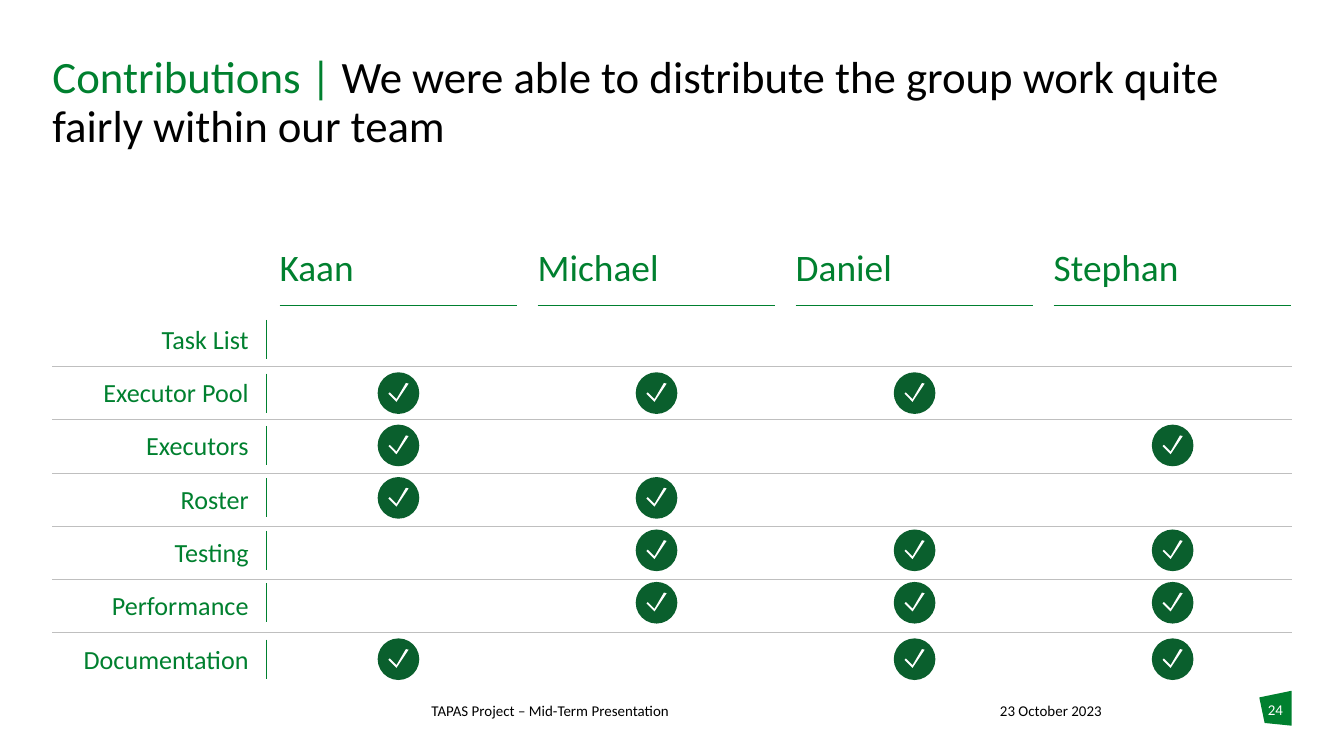
import pptx
import pptx.util
import pptx.dml.color
import pptx.enum.shapes
import pptx.enum.text
import pptx.oxml.ns
import lxml.etree

PX = 4572  # EMU in one px, 200 px to the inch
HUES = {"green": "00802F", "dark": "0A5F2D", "grey": "BFBFBF",
        "black": "000000", "white": "FFFFFF"}
ALIGN = pptx.enum.text.PP_ALIGN
MID = pptx.enum.text.MSO_ANCHOR.MIDDLE
TOP = pptx.enum.text.MSO_ANCHOR.TOP


def add_text(box, runs, size, align=ALIGN.LEFT, anchor=TOP, pad=(0, 0)):
    """Place runs of (text, colour) in a box; pad is the side and top inset."""
    frame = slide.shapes.add_textbox(*[v * PX for v in box]).text_frame
    frame.word_wrap = True
    frame.vertical_anchor = anchor
    frame.margin_left = frame.margin_right = pad[0] * PX
    frame.margin_top = frame.margin_bottom = pad[1] * PX
    para = frame.paragraphs[0]
    para.alignment = align
    for text, hue in runs:
        run = para.add_run()
        run.text = text
        run.font.name = "Calibri"
        run.font.size = pptx.util.Pt(size)
        run.font.color.rgb = pptx.dml.color.RGBColor.from_string(HUES[hue])
    return para


def paint(shape, hue):
    shape.shadow.inherit = False
    shape.fill.solid()
    shape.fill.fore_color.rgb = pptx.dml.color.RGBColor.from_string(HUES[hue])
    shape.line.fill.background()


deck = pptx.Presentation()
deck.slide_width = 2000 * PX
deck.slide_height = 1125 * PX
slide = deck.slides.add_slide(deck.slide_layouts[6])

# Title
title = add_text((78, 82, 1844, 134), [
    ("Contributions | ", "green"),
    ("We were able to distribute the group work quite fairly within our team",
     "black")], 24)
title.line_spacing = 0.9

# Footer
add_text((642, 1044, 496, 40),
         [("TAPAS Project – Mid-Term Presentation", "black")], 8)
add_text((1488, 1044, 258, 40), [("23 October 2023", "black")], 8)
pen = slide.shapes.build_freeform(1874, 1038, scale=PX)
pen.add_line_segments([(1922, 1028), (1922, 1080), (1882, 1076)])
paint(pen.convert_to_shape(), "green")
add_text((1874, 1042, 48, 60), [("24", "white")], 8, ALIGN.CENTER)

# Matrix: tasks down, people across
names = ["Kaan", "Michael", "Daniel", "Stephan"]
cols = [416 + 384 * i for i in range(len(names))]
tasks = [  # label, top of its bar, who took part
    ("Task List", 476, []),
    ("Executor Pool", 556, [0, 1, 2]),
    ("Executors", 634, [0, 3]),
    ("Roster", 712, [0, 1]),
    ("Testing", 790, [1, 2, 3]),
    ("Performance", 868, [1, 2, 3]),
    ("Documentation", 952, [0, 2, 3]),
]
tick = [(28, 40), (18, 30), (16, 32), (28, 44), (46, 17), (42, 16)]
rules = []

for name, left in zip(names, cols):
    add_text((left, 342, 353, 110), [(name, "green")], 20, anchor=MID)
    rules.append((left, 454, left + 353, 454, "green"))

for row, (task, top, team) in enumerate(tasks):
    add_text((78, 476 + 476 * row // 6, 312, 58), [(task, "green")], 14,
             ALIGN.RIGHT, MID, (20, 10))
    rules.append((396, top, 396, top + 58, "green"))
    if row:
        edge = 467 + 79 * row
        rules.append((78, edge, 1922, edge, "grey"))
    for who in team:
        x, y = cols[who] + 146, top - 2
        badge = slide.shapes.add_group_shape()
        disc = badge.shapes.add_shape(
            pptx.enum.shapes.MSO_SHAPE.OVAL, x * PX, y * PX, 62 * PX, 62 * PX)
        paint(disc, "dark")
        marks = [(x + dx, y + dy) for dx, dy in tick]
        pen = badge.shapes.build_freeform(*marks[0], scale=PX)
        pen.add_line_segments(marks[1:])
        paint(pen.convert_to_shape(), "white")

for *ends, hue in rules:
    rule = slide.shapes.add_connector(
        pptx.enum.shapes.MSO_CONNECTOR.STRAIGHT, *[v * PX for v in ends])
    rule.line.width = pptx.util.Pt(0.5)
    rule.line.color.rgb = pptx.dml.color.RGBColor.from_string(HUES[hue])
    lxml.etree.SubElement(rule._element.spPr,
                          pptx.oxml.ns.qn("a:effectLst"))

deck.save("out.pptx")
